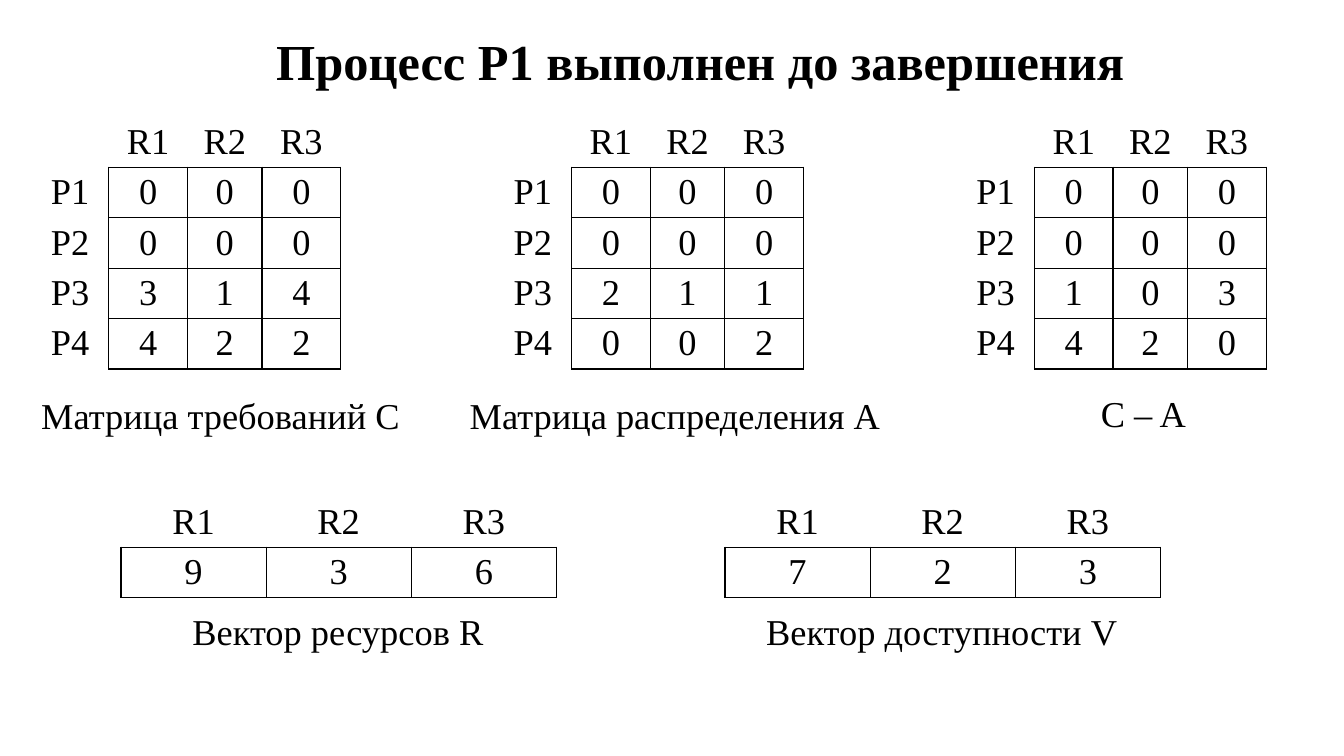
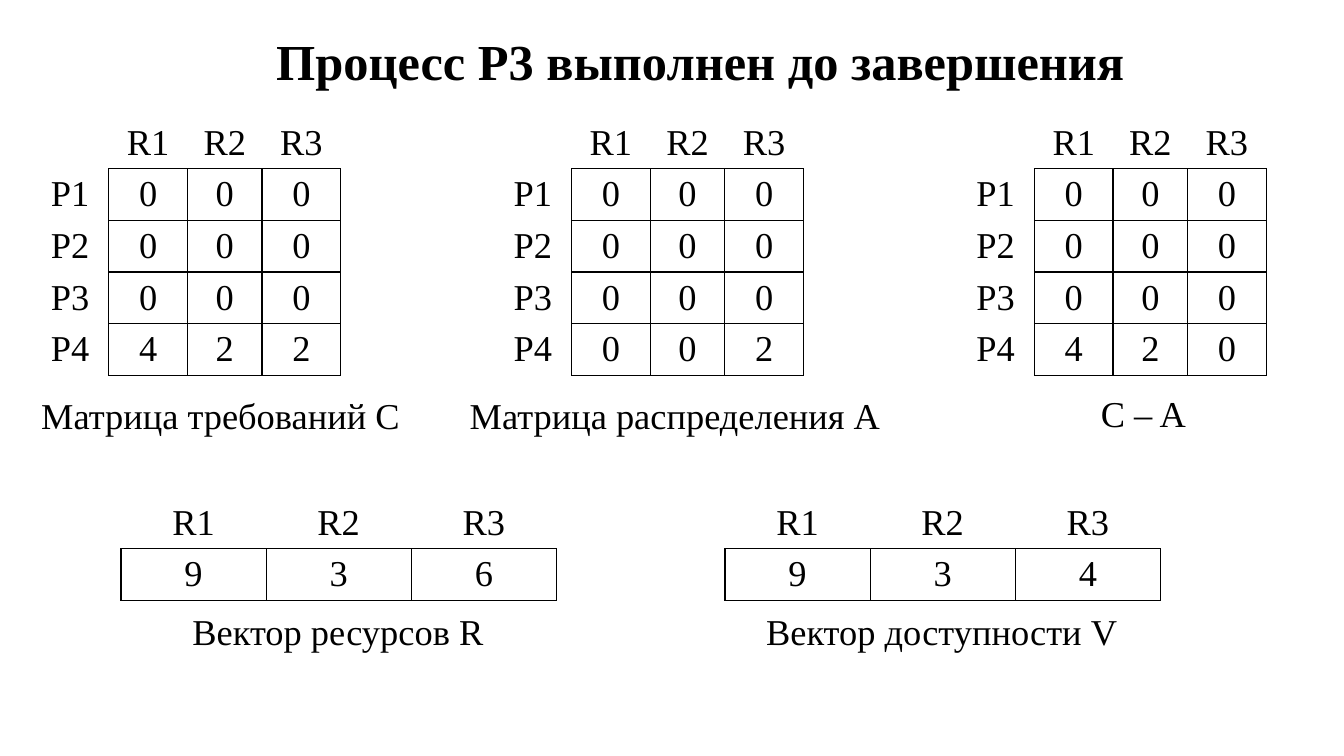
from dataclasses import dataclass

from lxml.etree import SubElement
from pptx import Presentation
from pptx.dml.color import RGBColor
from pptx.enum.text import MSO_ANCHOR, MSO_AUTO_SIZE, PP_ALIGN
from pptx.oxml.ns import qn
from pptx.util import Inches, Pt

RESOURCES = ["R1", "R2", "R3"]
PROCESSES = ["P1", "P2", "P3", "P4"]
TOTAL = [9, 3, 6]
STEPS = [
    {
        "finished": "P1",
        "claims": [[0, 0, 0], [0, 0, 0], [3, 1, 4], [4, 2, 2]],
        "allocated": [[0, 0, 0], [0, 0, 0], [2, 1, 1], [0, 0, 2]],
    },
    {
        "finished": "P3",
        "claims": [[0, 0, 0], [0, 0, 0], [0, 0, 0], [4, 2, 2]],
        "allocated": [[0, 0, 0], [0, 0, 0], [0, 0, 0], [0, 0, 2]],
    },
]
TITLE = "Процесс {} выполнен до завершения"
# Caption text, left, top, width
MATRIX_CAPTIONS = [
    ("Матрица требований C", 0.31, 3.85, 3.79),
    ("Матрица распределения A", 4.56, 3.85, 4.29),
    ("C – A", 10.82, 3.83, 1.05),
]
VECTOR_CAPTIONS = [
    ("Вектор ресурсов R", 1.81, 5.99, 3.11),
    ("Вектор доступности V", 7.5, 5.99, 3.71),
]


@dataclass(frozen=True)
class Theme:
    font: str = "Times New Roman"
    ink: RGBColor = RGBColor(0, 0, 0)
    title_size: Pt = Pt(36)
    body_size: Pt = Pt(26)
    border: Pt = Pt(1)


THEME = Theme()
ROW_HEIGHT = 0.5
MATRIX_LEFT, MATRIX_TOP, MATRIX_STEP = 0.31, 1.16, 4.59
MATRIX_COLUMNS = [0.77, 0.78, 0.74, 0.78]
VECTOR_LEFT, VECTOR_TOP, VECTOR_STEP = 1.2, 4.93, 5.99
VECTOR_COLUMNS = [1.44] * 3


def style(paragraph, size, bold=False):
    font = paragraph.font
    font.name, font.size, font.bold = THEME.font, size, bold
    font.color.rgb = THEME.ink


def add_label(slide, text, left, top, width, height=0.54, size=THEME.body_size, bold=False):
    box = slide.shapes.add_textbox(Inches(left), Inches(top), Inches(width), Inches(height))
    frame = box.text_frame
    frame.word_wrap = False
    frame.auto_size = MSO_AUTO_SIZE.SHAPE_TO_FIT_TEXT
    frame.text = text
    style(frame.paragraphs[0], size, bold)


def set_borders(cell, drawn):
    """Draw the sides named in drawn (letters of LRTB) and hide the others."""
    properties = cell._tc.get_or_add_tcPr()
    for side in "LRTB":
        line = SubElement(properties, qn(f"a:ln{side}"), w=str(THEME.border))
        if side in drawn:
            fill = SubElement(line, qn("a:solidFill"))
            SubElement(fill, qn("a:srgbClr"), val=str(THEME.ink))
        else:
            SubElement(line, qn("a:noFill"))


def add_grid(slide, rows, left, top, widths, label_columns=0):
    """Add a table whose header row and label columns stay outside the ruled area."""
    frame = slide.shapes.add_table(
        len(rows), len(widths), Inches(left), Inches(top),
        Inches(sum(widths)), Inches(ROW_HEIGHT * len(rows)))
    table = frame.table
    table.first_row = table.horz_banding = False
    for column, width in zip(table.columns, widths):
        column.width = Inches(width)
    for r, values in enumerate(rows):
        table.rows[r].height = Inches(ROW_HEIGHT)
        for c, value in enumerate(values):
            cell = table.cell(r, c)
            header, label = r == 0, c < label_columns
            if header:
                drawn = "" if label else "B"
            else:
                drawn = "R" if label else "LRTB"
            set_borders(cell, drawn)
            cell.fill.background()
            cell.margin_top = cell.margin_bottom = Inches(0.04)
            cell.vertical_anchor = MSO_ANCHOR.MIDDLE
            cell.text = str(value)
            paragraph = cell.text_frame.paragraphs[0]
            paragraph.alignment = PP_ALIGN.CENTER
            style(paragraph, THEME.body_size)


def add_step(slide, finished, claims, allocated):
    remaining = [[c - a for c, a in zip(*pair)] for pair in zip(claims, allocated)]
    available = [total - sum(used) for total, used in zip(TOTAL, zip(*allocated))]

    for i, matrix in enumerate([claims, allocated, remaining]):
        rows = [["", *RESOURCES]] + [[p, *row] for p, row in zip(PROCESSES, matrix)]
        add_grid(slide, rows, MATRIX_LEFT + i * MATRIX_STEP, MATRIX_TOP,
                 MATRIX_COLUMNS, label_columns=1)
    for i, vector in enumerate([TOTAL, available]):
        add_grid(slide, [RESOURCES, vector], VECTOR_LEFT + i * VECTOR_STEP,
                 VECTOR_TOP, VECTOR_COLUMNS)
    for caption in MATRIX_CAPTIONS + VECTOR_CAPTIONS:
        add_label(slide, *caption)
    add_label(slide, TITLE.format(finished), 2.64, 0.25, 8.71, 0.71,
              THEME.title_size, bold=True)


def main():
    deck = Presentation()
    deck.slide_width, deck.slide_height = Inches(13.33), Inches(7.5)
    for step in STEPS:
        add_step(deck.slides.add_slide(deck.slide_layouts[6]), **step)
    deck.save("out.pptx")


if __name__ == "__main__":
    main()
